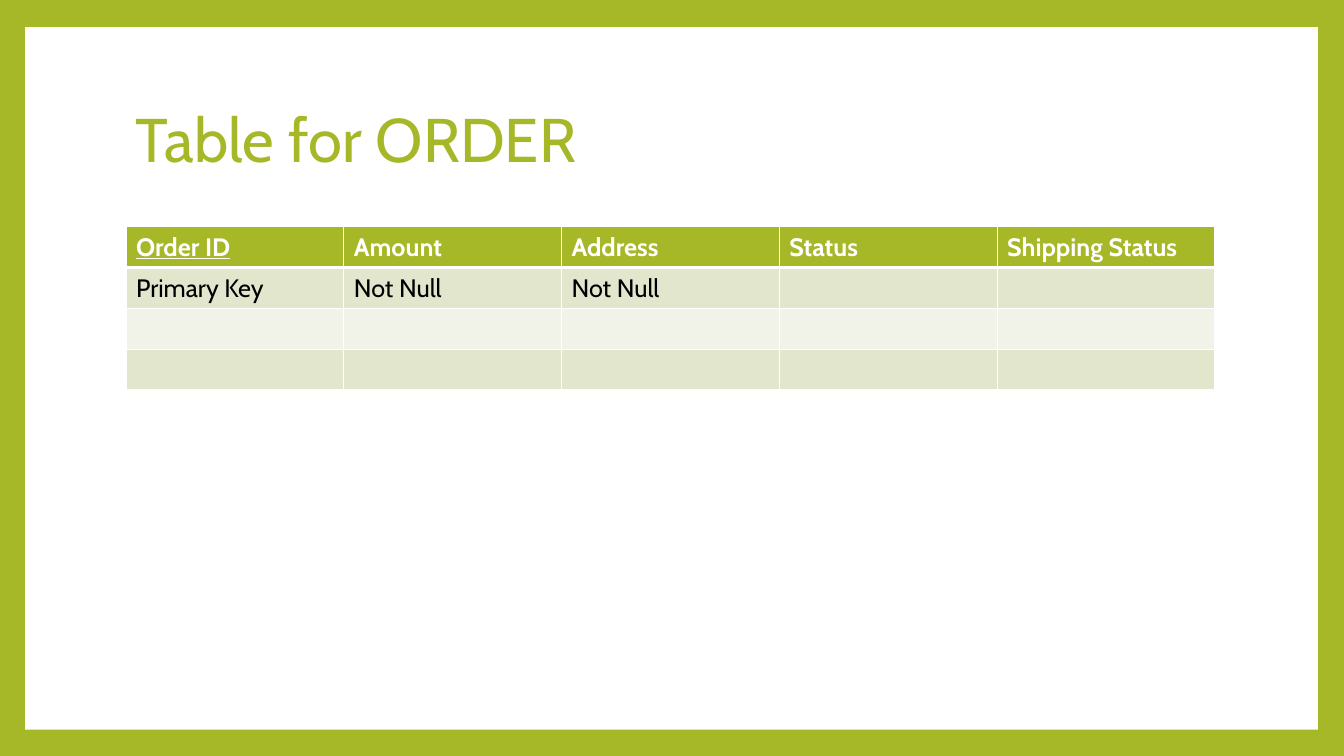
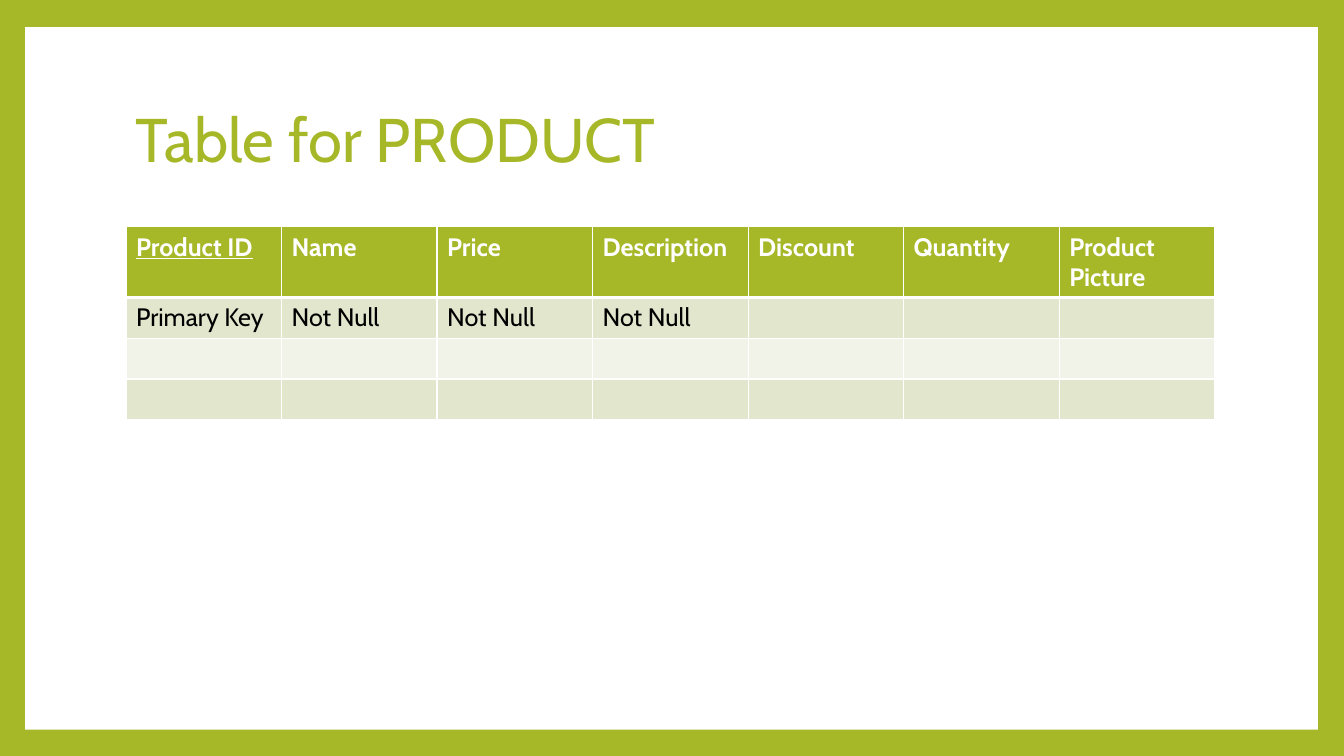
from pptx import Presentation
from pptx.dml.color import RGBColor
from pptx.enum.shapes import MSO_SHAPE
from pptx.enum.text import MSO_ANCHOR
from pptx.oxml import parse_xml
from pptx.oxml.ns import nsdecls
from pptx.util import Inches, Pt

COLORS = {
    "green": "A6B727",
    "white": "FFFFFF",
    "black": "000000",
    "band": "E1E6CD",
    "pale": "F1F3E8",
}
FONT = "Cabin"
LEFT, WIDTH = Inches(1.25), Inches(10.8)
ROWS = 4


def color(name):
    return RGBColor.from_string(COLORS[name])


class Deck:
    """Holds the shared style and the current slide."""

    def __init__(self):
        self.prs = Presentation()
        self.prs.slide_width = Inches(13.33)
        self.prs.slide_height = Inches(7.5)
        self.slide = None

    def page(self):
        self.slide = self.prs.slides.add_slide(self.prs.slide_layouts[6])
        back = self.slide.background.fill
        back.solid()
        back.fore_color.rgb = color("green")
        panel = self.slide.shapes.add_shape(
            MSO_SHAPE.RECTANGLE, Inches(0.25), Inches(0.27), Inches(12.82), Inches(6.97))
        panel.shadow.inherit = False
        panel.fill.solid()
        panel.fill.fore_color.rgb = color("white")
        panel.line.fill.background()

    def style(self, para, size, shade, bold=False, under=False):
        for run in para.runs:
            font = run.font
            font.name, font.size = FONT, Pt(size)
            font.bold, font.underline = bold, under
            font.color.rgb = color(shade)

    def title(self, text):
        box = self.slide.shapes.add_textbox(LEFT, Inches(0.67), WIDTH, Inches(1.48))
        frame = box.text_frame
        frame.word_wrap = True
        frame.vertical_anchor = MSO_ANCHOR.MIDDLE
        frame.text = text
        para = frame.paragraphs[0]
        para.line_spacing = 0.9
        self.style(para, 44, "green")

    def border(self, cell, top, bottom):
        props = cell._tc.get_or_add_tcPr()
        for side, width in zip("LRTB", (1, 1, top, bottom)):
            props.append(parse_xml(
                f'<a:ln{side} {nsdecls("a")} w="{Pt(width)}"><a:solidFill>'
                f'<a:srgbClr val="{COLORS["white"]}"/></a:solidFill></a:ln{side}>'))

    def table(self, heads, rules):
        count = len(heads)
        grid = self.slide.shapes.add_table(
            ROWS, count, LEFT, Inches(2.25), WIDTH, Inches(1.62)).table
        for row, fill in enumerate(("green", "band", "pale", "band")):
            texts = {0: heads, 1: rules}.get(row, [])
            for col in range(count):
                cell = grid.cell(row, col)
                self.border(cell, 3 if row == 1 else 1, 3 if row == 0 else 1)
                cell.fill.solid()
                cell.fill.fore_color.rgb = color(fill)
                if col < len(texts):
                    cell.text_frame.text = texts[col]
                    head = row == 0
                    self.style(cell.text_frame.paragraphs[0], 18,
                               "white" if head else "black", head, head and col == 0)


TABLES = {
    "ORDER": (
        ["Order ID", "Amount", "Address", "Status", "Shipping Status"],
        ["Primary Key", "Not Null", "Not Null"],
    ),
    "PRODUCT": (
        ["Product ID", "Name", "Price", "Description", "Discount", "Quantity",
         "Product Picture"],
        ["Primary Key", "Not Null", "Not Null", "Not Null"],
    ),
}

deck = Deck()
for name, (heads, rules) in TABLES.items():
    deck.page()
    deck.title(f"Table for {name}")
    deck.table(heads, rules)
deck.prs.save("out.pptx")
